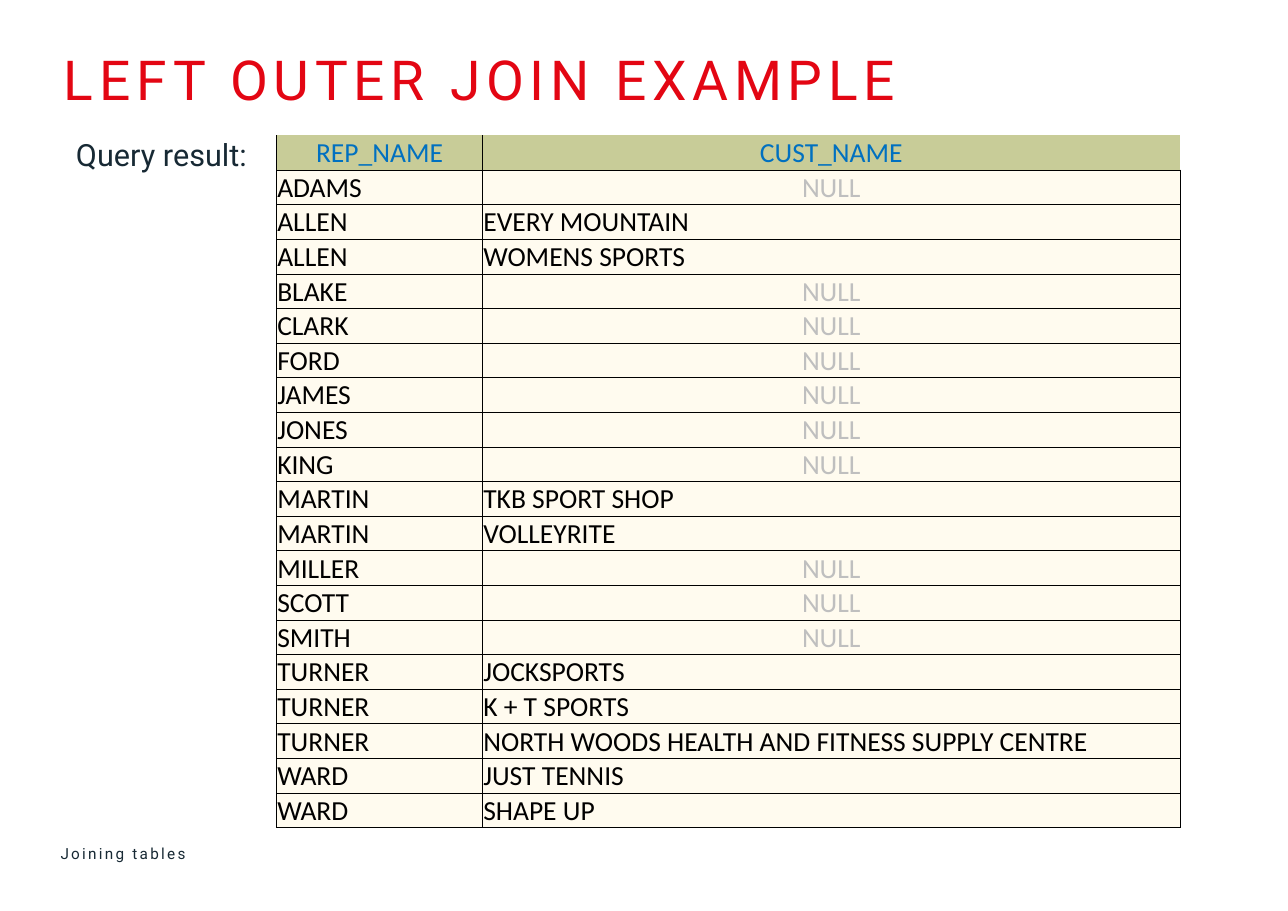
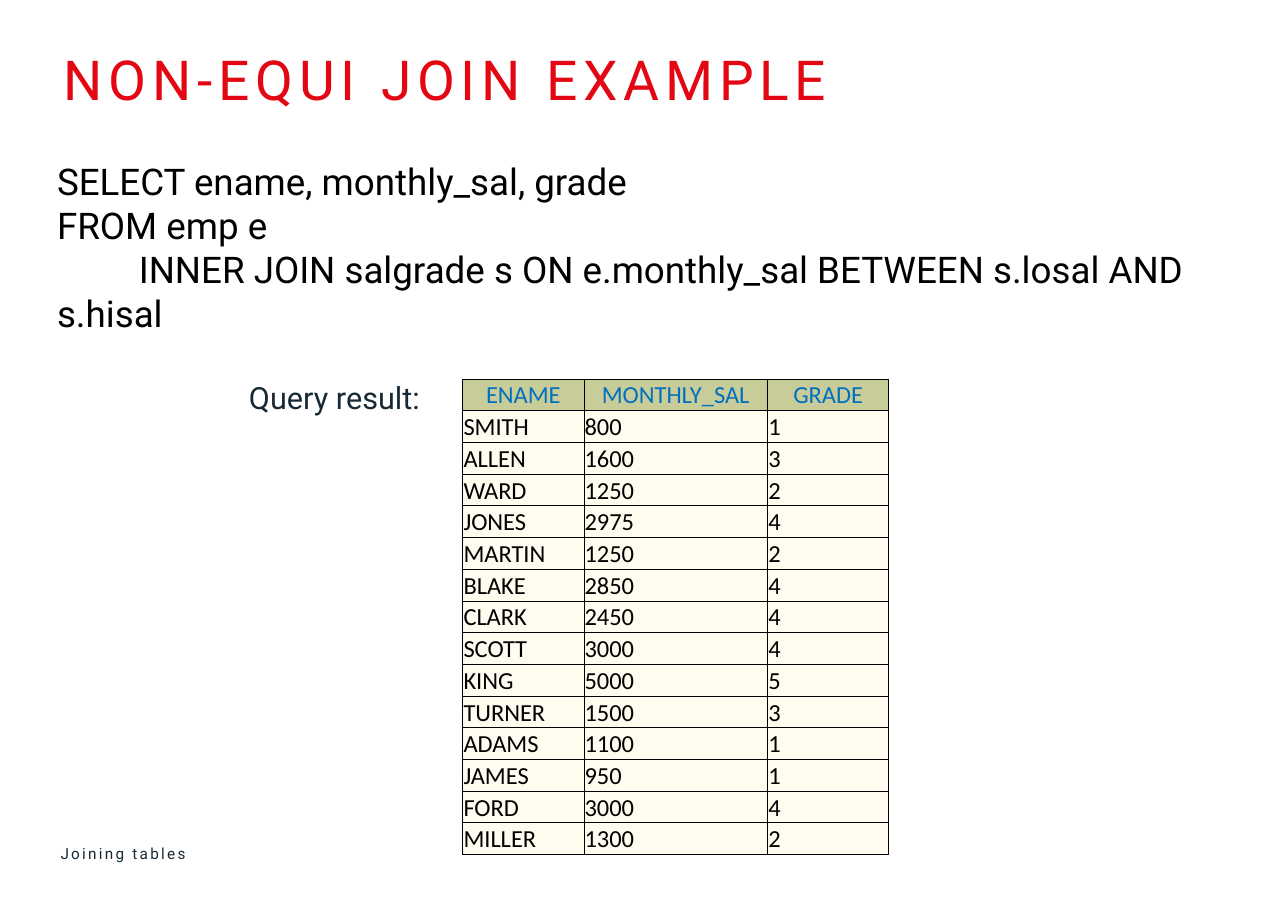
"""Build two slides showing SQL joins and their query results."""
from dataclasses import dataclass

from lxml.etree import SubElement as Sub
from pptx import Presentation as Deck
from pptx.dml.color import RGBColor as Rgb
from pptx.enum.text import MSO_ANCHOR as Anchor, MSO_AUTO_SIZE as Fit, PP_ALIGN as Align
from pptx.oxml.ns import qn
from pptx.util import Inches, Pt


@dataclass(frozen=True)
class Theme:
    """Colours, fonts and type sizes of the deck."""
    red: str = "E30613"
    navy: str = "172934"
    blue: str = "0070C0"
    black: str = "000000"
    grey: str = "BFBFBF"
    olive: str = "C8CC98"
    cream: str = "FFFBEF"
    sans: str = "Roboto"
    grid: str = "Calibri"
    title: int = 36
    code: int = 24
    label: int = 20
    foot: int = 10
    rule: float = 0.5


class Page:
    """Draw on the current slide, with lengths in percent of its size."""

    def __init__(self, theme):
        self.theme = theme
        self.deck = Deck()
        self.deck.slide_width = Inches(11.69)
        self.deck.slide_height = Inches(8.27)
        self.slide = None

    def wide(self, share):
        """Turn a share of the width into a length."""
        return round(self.deck.slide_width * share / 100)

    def high(self, share):
        """Turn a share of the height into a length."""
        return round(self.deck.slide_height * share / 100)

    def box(self, left, top, width, height):
        """Turn four shares into a place and a size."""
        return self.wide(left), self.high(top), self.wide(width), self.high(height)

    def style(self, frame, size, hue, face=None, gap=0, align=Align.LEFT):
        """Format every run in a text frame."""
        for para in frame.paragraphs:
            para.alignment = align
            for run in para.runs:
                font = run.font
                font.size, font.name = Pt(size), face or self.theme.sans
                font.color.rgb = Rgb.from_string(hue)
                if gap:
                    font._element.set("spc", str(round(gap * 100)))

    def pad(self, frame):
        """Remove the inner margins of a text frame."""
        frame.margin_left = frame.margin_right = 0
        frame.margin_top = frame.margin_bottom = 0

    def text(self, words, place, size, hue, gap=0, bare=True, grow=True):
        """Add a text box and return its frame."""
        frame = self.slide.shapes.add_textbox(*self.box(*place)).text_frame
        frame.word_wrap = True
        frame.auto_size = Fit.SHAPE_TO_FIT_TEXT if grow else Fit.NONE
        if bare:
            self.pad(frame)
        frame.text = words
        self.style(frame, size, hue, gap=gap)
        return frame

    def start(self, title):
        """Begin a slide with its footer and title."""
        look = self.theme
        self.slide = self.deck.slides.add_slide(self.deck.slide_layouts[5])
        foot = self.text("Joining tables", (4.7, 92.38, 62.36, 2.66),
                         look.foot, look.navy, gap=1.5, grow=False)
        foot.vertical_anchor = Anchor.MIDDLE
        head = self.slide.shapes.title
        head.left, head.top, head.width, head.height = self.box(4.96, 4.96, 91.62, 8.71)
        frame = head.text_frame
        self.pad(frame)
        frame.auto_size, frame.vertical_anchor = Fit.NONE, Anchor.TOP
        frame.text = title
        self.style(frame, look.title, look.red, gap=3.8)

    def label(self, left, top, width):
        """Add the caption beside a result table."""
        self.text("Query result:", (left, top, width, 4.11),
                  self.theme.label, self.theme.navy)

    def query(self, lines, place, indent):
        """Add a query whose last line is indented."""
        frame = self.text("\n".join(lines), place, self.theme.code,
                          self.theme.black, bare=False)
        props = frame.paragraphs[-1]._p.get_or_add_pPr()
        props.set("marL", "0")
        props.set("indent", str(self.wide(indent)))

    def edge(self, cell, bare):
        """Rule the sides of a cell, leaving the bare ones open."""
        props = cell._tc.get_or_add_tcPr()
        for side in "LRTB":
            line = Sub(props, qn(f"a:ln{side}"), w=str(Pt(self.theme.rule)))
            if side in bare:
                Sub(line, qn("a:noFill"))
            else:
                fill = Sub(line, qn("a:solidFill"))
                Sub(fill, qn("a:srgbClr"), val=self.theme.black)

    def cell(self, cell, word, size, head, bare):
        """Fill and format one table cell."""
        look = self.theme
        null = word == "NULL"
        hue = look.blue if head else look.grey if null else look.black
        cell.margin_left = cell.margin_right = cell.margin_top = Pt(0.5)
        cell.margin_bottom = 0
        cell.vertical_anchor = Anchor.MIDDLE if head else Anchor.BOTTOM
        self.edge(cell, bare)
        cell.fill.solid()
        cell.fill.fore_color.rgb = Rgb.from_string(look.olive if head else look.cream)
        cell.text_frame.text = word
        self.style(cell.text_frame, size, hue, look.grid,
                   align=Align.CENTER if head or null else Align.LEFT)

    def table(self, rows, left, top, cols, height, size, ruled=True):
        """Add a result table, its header ruled outside or open."""
        place = self.box(left, top, sum(cols), height)
        table = self.slide.shapes.add_table(len(rows), len(cols), *place).table
        table.first_row = table.horz_banding = False
        for col, width in zip(table.columns, cols):
            col.width = self.wide(width)
        for r, row in enumerate(rows):
            table.rows[r].height = self.high(height / len(rows))
            for c, word in enumerate(row):
                last = c == len(cols) - 1
                bare = "" if ruled or r else "TR" if last else "T"
                self.cell(table.cell(r, c), word, size, r == 0, bare)


REPS = [
    ("REP_NAME", "CUST_NAME"),
    ("ADAMS", "NULL"),
    ("ALLEN", "EVERY MOUNTAIN"),
    ("ALLEN", "WOMENS SPORTS"),
    ("BLAKE", "NULL"),
    ("CLARK", "NULL"),
    ("FORD", "NULL"),
    ("JAMES", "NULL"),
    ("JONES", "NULL"),
    ("KING", "NULL"),
    ("MARTIN", "TKB SPORT SHOP"),
    ("MARTIN", "VOLLEYRITE"),
    ("MILLER", "NULL"),
    ("SCOTT", "NULL"),
    ("SMITH", "NULL"),
    ("TURNER", "JOCKSPORTS"),
    ("TURNER", "K + T SPORTS"),
    ("TURNER", "NORTH WOODS HEALTH AND FITNESS SUPPLY CENTRE"),
    ("WARD", "JUST TENNIS"),
    ("WARD", "SHAPE UP"),
]

PAY = [
    ("ENAME", "MONTHLY_SAL", "GRADE"),
    ("SMITH", "800", "1"),
    ("ALLEN", "1600", "3"),
    ("WARD", "1250", "2"),
    ("JONES", "2975", "4"),
    ("MARTIN", "1250", "2"),
    ("BLAKE", "2850", "4"),
    ("CLARK", "2450", "4"),
    ("SCOTT", "3000", "4"),
    ("KING", "5000", "5"),
    ("TURNER", "1500", "3"),
    ("ADAMS", "1100", "1"),
    ("JAMES", "950", "1"),
    ("FORD", "3000", "4"),
    ("MILLER", "1300", "2"),
]

QUERY = [
    "SELECT ename, monthly_sal, grade",
    "FROM emp e",
    "INNER JOIN salgrade s ON e.monthly_sal BETWEEN s.losal AND s.hisal",
]


def main():
    """Build and save the deck."""
    page = Page(Theme())

    page.start("LEFT OUTER JOIN EXAMPLE")
    page.label(5.9, 14.87, 33.1)
    page.table(REPS, 21.47, 14.87, (16, 54.15), 76.06, 18, ruled=False)

    page.start("NON-EQUI JOIN EXAMPLE")
    page.query(QUERY, (3.59, 16.81, 91.45, 25.63), 6.35)
    page.label(19.33, 41.6, 22)
    page.table(PAY, 35.93, 41.6, (9.4, 14.27, 9.4), 52.24, 16)

    page.deck.save("out.pptx")


if __name__ == "__main__":
    main()
